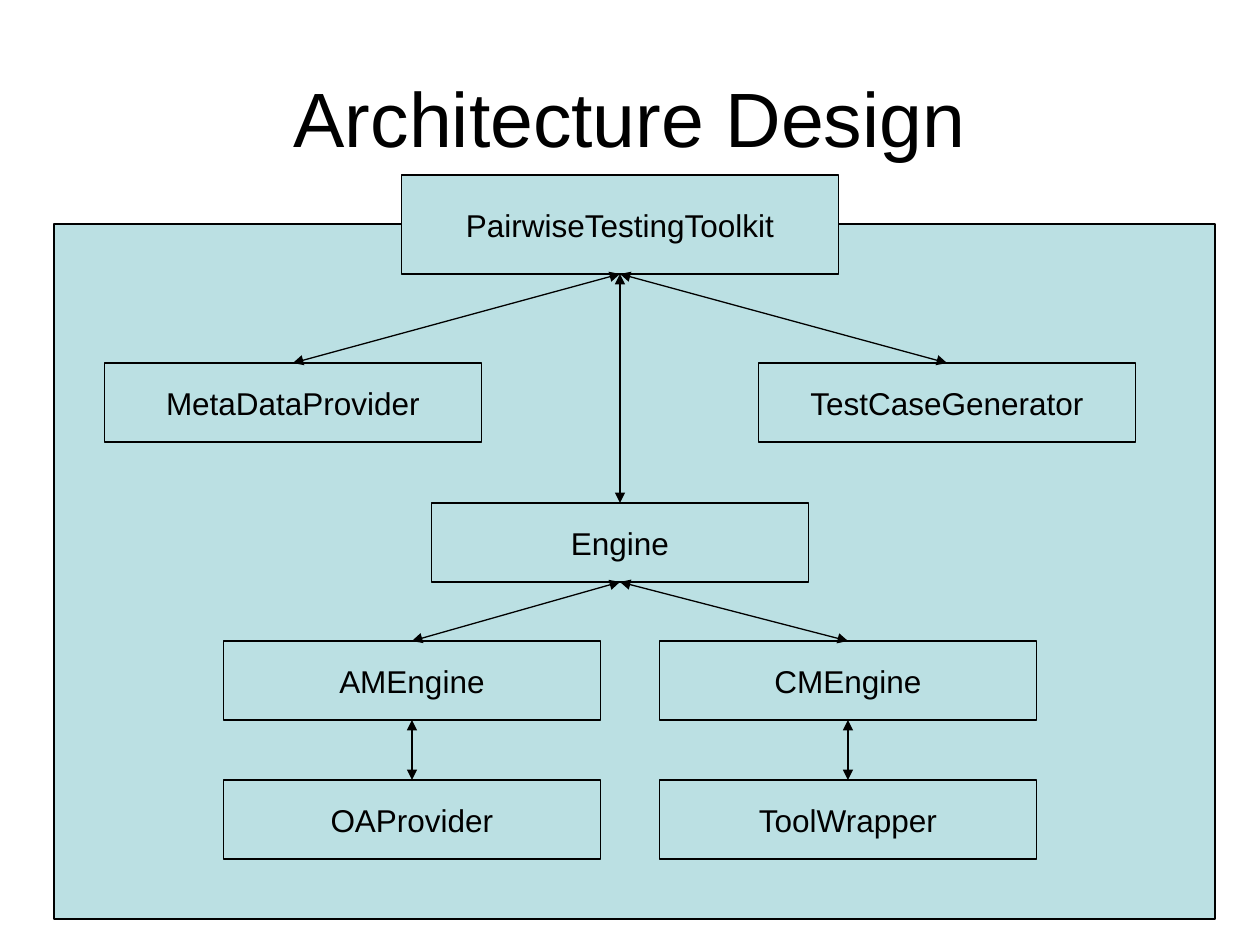
from lxml import etree
from pptx import Presentation, util as u
from pptx.dml.color import RGBColor
from pptx.enum import shapes, text
from pptx.oxml.ns import qn

TITLE = "Architecture Design"
TITLE_AREA = (63, 38, 1134, 157)  # left, top, width, height in px
PANEL = (54, 224, 1161, 695)
BOX_SIZE = (377, 79)
TOOLKIT_SIZE = (437, 99)

# name: (centre x, top, size) in px
MODULES = {
    "PairwiseTestingToolkit": (620, 175, TOOLKIT_SIZE),
    "MetaDataProvider": (293, 363, BOX_SIZE),
    "Engine": (620, 503, BOX_SIZE),
    "OAProvider": (412, 780, BOX_SIZE),
    "ToolWrapper": (848, 780, BOX_SIZE),
    "TestCaseGenerator": (947, 363, BOX_SIZE),
    "AMEngine": (412, 641, BOX_SIZE),
    "CMEngine": (848, 641, BOX_SIZE),
}
# upper module, lower module
LINKS = [
    ("PairwiseTestingToolkit", "MetaDataProvider"),
    ("PairwiseTestingToolkit", "Engine"),
    ("PairwiseTestingToolkit", "TestCaseGenerator"),
    ("Engine", "AMEngine"),
    ("Engine", "CMEngine"),
    ("AMEngine", "OAProvider"),
    ("CMEngine", "ToolWrapper"),
]


class Theme:
    fill = RGBColor(0xBB, 0xE0, 0xE3)
    ink = RGBColor(0, 0, 0)
    font = "Arial"
    title_size = u.Pt(44)
    label_size = u.Pt(18)
    line_width = u.Pt(0.75)


def px(n):
    return u.Emu(round(n * 914400 / 126))


def style_line(line):
    line.color.rgb = Theme.ink
    line.width = Theme.line_width


def write(tf, words, size):
    tf.vertical_anchor = text.MSO_ANCHOR.MIDDLE
    p = tf.paragraphs[0]
    p.alignment = text.PP_ALIGN.CENTER
    r = p.add_run()
    r.text = words
    r.font.name = Theme.font
    r.font.size = size
    r.font.color.rgb = Theme.ink


def add_box(s, left, top, width, height):
    sp = s.shapes.add_shape(shapes.MSO_SHAPE.RECTANGLE,
                            px(left), px(top), px(width), px(height))
    sp.shadow.inherit = False
    sp.fill.solid()
    sp.fill.fore_color.rgb = Theme.fill
    style_line(sp.line)
    return sp


def add_link(s, upper, lower):
    """Join two boxes, bottom centre to top centre, with an arrowhead at each end."""
    c = s.shapes.add_connector(shapes.MSO_CONNECTOR.STRAIGHT, 0, 0, 0, 0)
    c.begin_connect(upper, 2)
    c.end_connect(lower, 0)
    style_line(c.line)
    ln = c.line._get_or_add_ln()
    for end in ("a:headEnd", "a:tailEnd"):
        etree.SubElement(ln, qn(end), type="triangle")
    etree.SubElement(ln.getparent(), qn("a:effectLst"))


def main():
    prs = Presentation()
    prs.slide_width, prs.slide_height = u.Inches(10), u.Inches(7.5)
    s = prs.slides.add_slide(prs.slide_layouts[5])

    title = s.shapes.title
    title.left, title.top, title.width, title.height = map(px, TITLE_AREA)
    write(title.text_frame, TITLE, Theme.title_size)

    add_box(s, *PANEL)
    boxes = {}
    for name, (centre, top, (width, height)) in MODULES.items():
        sp = add_box(s, centre - width / 2, top, width, height)
        sp.text_frame.word_wrap = False
        write(sp.text_frame, name, Theme.label_size)
        boxes[name] = sp
    for upper, lower in LINKS:
        add_link(s, boxes[upper], boxes[lower])

    prs.save("out.pptx")


if __name__ == "__main__":
    main()
